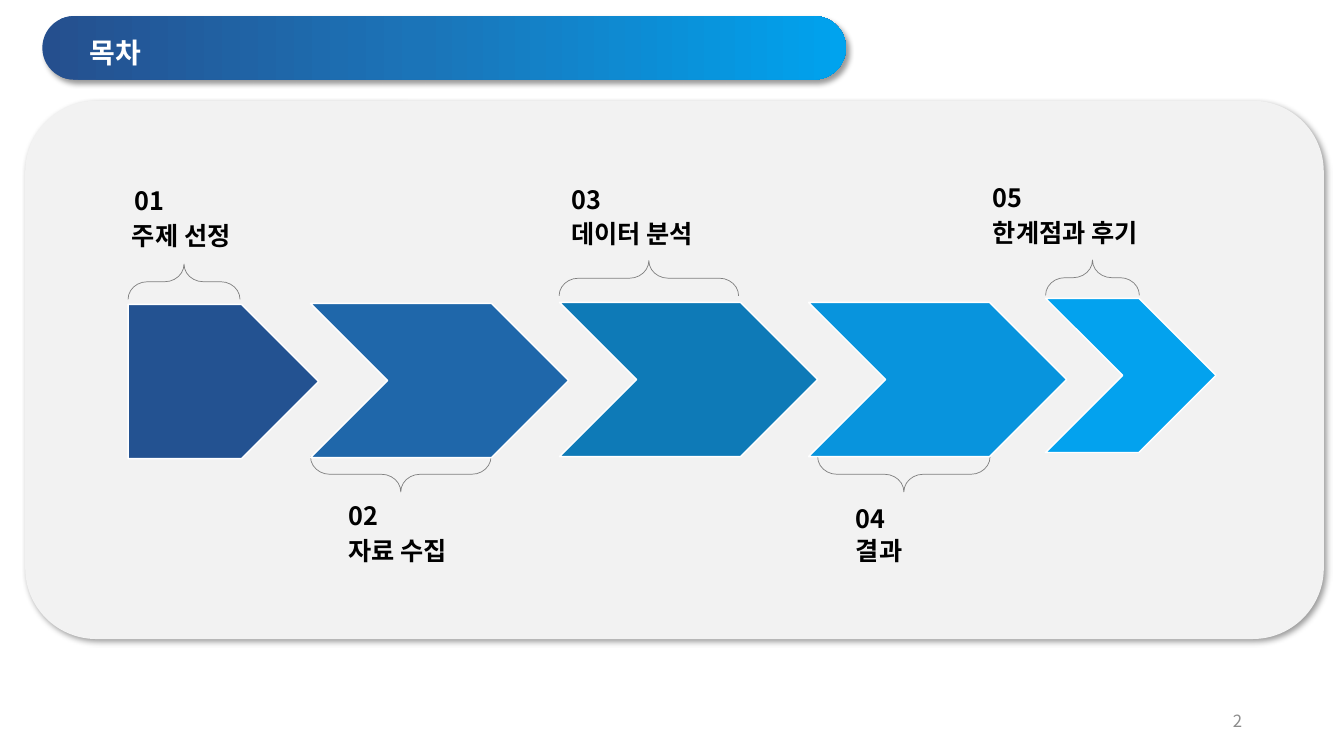
from copy import deepcopy

from lxml import etree
from pptx import Presentation
from pptx.dml.color import RGBColor
from pptx.enum.shapes import MSO_SHAPE as Kind
from pptx.enum.text import MSO_ANCHOR as Anchor, MSO_AUTO_SIZE as Auto, PP_ALIGN as Align
from pptx.oxml.ns import qn
from pptx.util import Inches, Pt

FONT = "Noto Sans CJK KR"
WHITE = RGBColor(0xFF, 0xFF, 0xFF)
BLACK = RGBColor(0x00, 0x00, 0x00)
GRAY = RGBColor(0x80, 0x80, 0x80)
PALE = RGBColor(0xF2, 0xF2, 0xF2)
MUTED = RGBColor(0x8C, 0x8C, 0x8C)
NAVY = RGBColor(0x23, 0x52, 0x91)
ROYAL = RGBColor(0x1F, 0x67, 0xAA)
TEAL = RGBColor(0x0E, 0x7A, 0xB7)
AZURE = RGBColor(0x08, 0x94, 0xDD)
SKY = RGBColor(0x03, 0xA2, 0xEE)
STOPS = [(0, RGBColor(0x25, 0x4F, 0x8E)),
         (0.47, RGBColor(0x1B, 0x74, 0xB8)),
         (1, RGBColor(0x00, 0xA3, 0xEE))]


def write(box, text, size=18, color=BLACK, bold=True, align=Align.LEFT,
          anchor=Anchor.TOP, wrap=True, auto=Auto.SHAPE_TO_FIT_TEXT, space=1.0):
    frame = box.text_frame
    frame.word_wrap, frame.auto_size = wrap, auto
    frame.vertical_anchor = anchor
    para = frame.paragraphs[0]
    para.alignment, para.line_spacing = align, space
    run = para.add_run()
    run.text = text
    font = run.font
    font.name, font.size, font.bold = FONT, Pt(size), bold
    font.color.rgb = color
    # Hangul takes its typeface from the East Asian slot
    east = etree.SubElement(run._r.get_or_add_rPr(), qn("a:ea"))
    east.set("typeface", FONT)


class Deck:
    def __init__(self):
        self.prs = Presentation()
        self.prs.slide_width = Inches(13.33)
        self.prs.slide_height = Inches(7.5)
        self.slide = self.prs.slides.add_slide(self.prs.slide_layouts[5])

    def shape(self, kind, at, fill=None, line=None, width=1.0):
        item = self.slide.shapes.add_shape(kind, *map(Inches, at))
        item.shadow.inherit = False
        if fill is None:
            item.fill.background()
        else:
            item.fill.solid()
            item.fill.fore_color.rgb = fill
        if line is None:
            item.line.fill.background()
        else:
            item.line.color.rgb = line
            item.line.width = Pt(width)
        return item

    def panel(self, at, curve, fill):
        item = self.shape(Kind.ROUNDED_RECTANGLE, at, fill)
        item.adjustments[0] = curve
        effect = item._element.spPr.find(qn("a:effectLst"))
        shade = etree.SubElement(effect, qn("a:outerShdw"), blurRad=str(Pt(4)),
                                 dist=str(Pt(3)), dir="2700000", algn="tl", rotWithShape="0")
        tone = etree.SubElement(shade, qn("a:srgbClr"), val="000000")
        etree.SubElement(tone, qn("a:alpha"), val="40000")
        return item

    def blend(self, item, stops):
        item.fill.gradient()
        item.fill.gradient_angle = 0
        first = item._element.spPr.find(".//" + qn("a:gs"))
        for _ in stops[2:]:
            first.addnext(deepcopy(first))
        for stop, (place, color) in zip(item.fill.gradient_stops, stops):
            stop.position = place
            stop.color.rgb = color

    def brace(self, at, turn):
        item = self.shape(Kind.LEFT_BRACE, at, line=GRAY, width=0.5)
        item.rotation = turn
        item.adjustments[0], item.adjustments[1] = 0.545, 0.5

    def text(self, at, words, **style):
        write(self.slide.shapes.add_textbox(*map(Inches, at)), words, **style)

    def title(self, at, words, **style):
        item = self.slide.shapes.title
        item.left, item.top, item.width, item.height = map(Inches, at)
        self.slide.shapes._spTree.append(item._element)  # bring to front
        write(item, words, **style)


# Step: colour, arrow (left, top, width), brace box and turn,
# number (left, top), name (left, top, width)
UP, DOWN = 90, 270
STEPS = [
    ("주제 선정", NAVY, (1.27, 3.02, 1.89), (1.65, 2.24, 0.35, 1.11), UP,
     (1.24, 1.79), (1.21, 2.14, 1.22)),
    ("자료 수집", ROYAL, (3.08, 3.01, 2.56), (3.8, 3.81, 0.35, 1.79), DOWN,
     (3.36, 4.91), (3.36, 5.26, 1.22)),
    ("데이터 분석", TEAL, (5.55, 3, 2.56), (6.26, 1.87, 0.35, 1.78), UP,
     (5.57, 1.78), (5.57, 2.12, 1.46)),
    ("결과", AZURE, (8.02, 3, 2.56), (8.79, 3.85, 0.35, 1.71), DOWN,
     (8.39, 4.94), (8.39, 5.26, 0.68)),
    ("한계점과 후기", SKY, (10.37, 2.96, 1.69), (10.66, 2.29, 0.35, 0.93), UP,
     (9.75, 1.76), (9.75, 2.11, 1.69)),
]


def main():
    deck = Deck()

    # Backdrop and title bar
    deck.panel((0.25, 1, 12.88, 5.34), 0.132, PALE)
    bar = deck.panel((0.42, 0.16, 7.97, 0.63), 0.5, WHITE)
    deck.blend(bar, STOPS)
    deck.title((0.79, 0.24, 6.18, 0.47), "목차", size=20, color=WHITE, space=1.2)

    # Process arrows with braces and labels
    for num, (name, color, arrow, brace, turn, mark, label) in enumerate(STEPS, 1):
        deck.brace(brace, turn)
        kind = Kind.PENTAGON if num == 1 else Kind.CHEVRON
        deck.shape(kind, (*arrow, 1.53), color, WHITE)
        deck.text((*label, 0.4), name, wrap=False)
        deck.text((*mark, 0.68, 0.4), f"{num:02}")

    # Page number
    deck.text((9.42, 6.95, 3, 0.4), "2", size=12, color=MUTED, bold=False,
              align=Align.RIGHT, anchor=Anchor.MIDDLE, auto=Auto.NONE)

    deck.prs.save("out.pptx")


if __name__ == "__main__":
    main()
